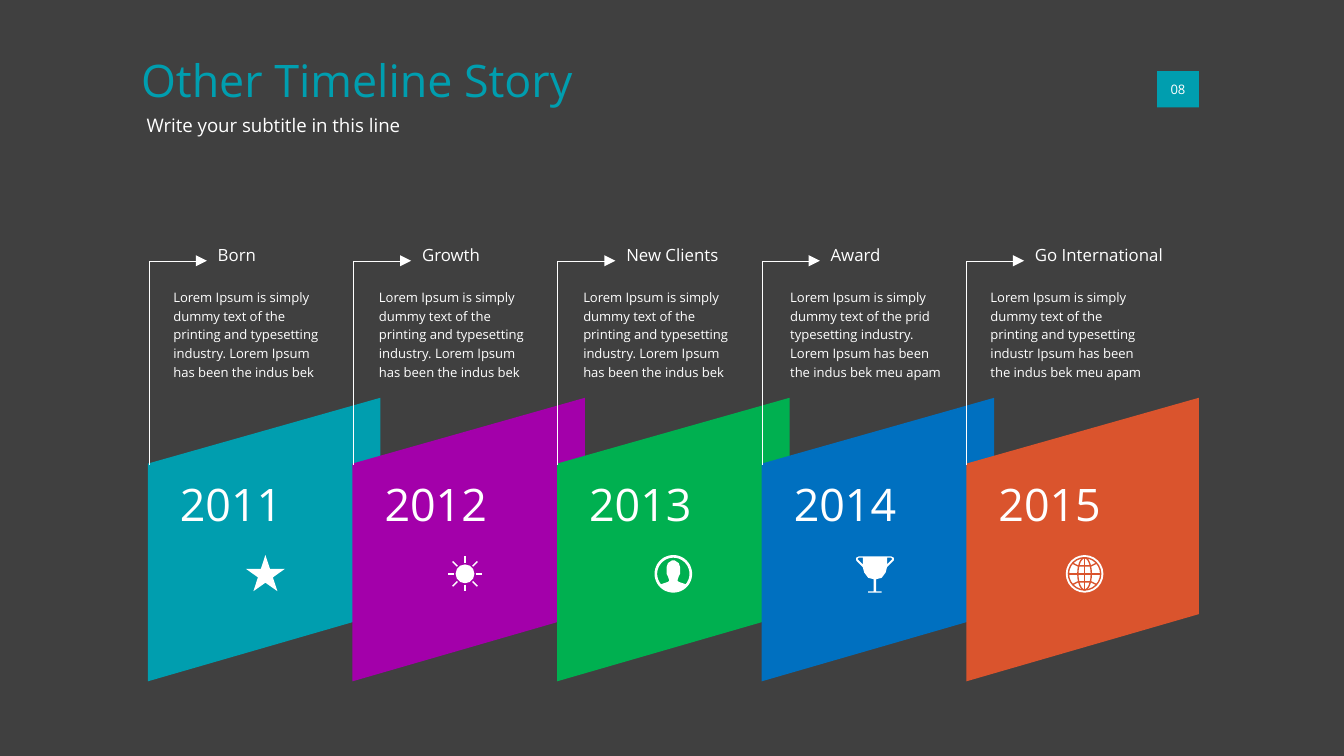
from dataclasses import dataclass
from math import cos, pi, sin
from typing import Callable

from lxml import etree
from pptx import Presentation
from pptx.dml.color import RGBColor
from pptx.enum.shapes import MSO_CONNECTOR as Connector, MSO_SHAPE as Shape
from pptx.enum.text import MSO_ANCHOR as Anchor, PP_ALIGN as Align
from pptx.oxml.ns import qn
from pptx.util import Inches, Pt

COLORS = {
    "background": "404040", "white": "FFFFFF", "teal": "009EAF", "purple": "A300AA",
    "green": "00B050", "blue": "0070C0", "orange": "DA542D",
}
FONT = "Open Sans"
ICON_Y = 4.27
Points = list[tuple[float, float]]


@dataclass
class Stage:
    year: str
    heading: str
    body: str
    body_left: float
    color: str
    icon_x: float
    draw_icon: Callable[[float, str], None]


def rgb(name: str) -> RGBColor:
    return RGBColor.from_string(COLORS[name])


def paint(shape, fill: str | None, line: str | None = None, width: float = 0.75) -> None:
    shape.shadow.inherit = False
    if fill:
        shape.fill.solid()
        shape.fill.fore_color.rgb = rgb(fill)
    else:
        shape.fill.background()
    if line:
        shape.line.color.rgb = rgb(line)
        shape.line.width = Pt(width)
    else:
        shape.line.fill.background()


def add_preset(kind: Shape, left: float, top: float, width: float, height: float,
               fill: str | None, line: str | None = None):
    shape = page.shapes.add_shape(kind, Inches(left), Inches(top), Inches(width), Inches(height))
    paint(shape, fill, line)
    return shape


def add_oval(x: float, rx: float, ry: float, fill: str | None, line: str | None = None) -> None:
    add_preset(Shape.OVAL, x - rx, ICON_Y - ry, 2 * rx, 2 * ry, fill, line)


def add_outline(contours: list[Points], fill: str | None, line: str | None = None,
                width: float = 0.75, close: bool = True):
    builder = None
    for contour in contours:
        start, *rest = [(Inches(x), Inches(y)) for x, y in contour]
        if builder is None:
            builder = page.shapes.build_freeform(*start)
        else:
            builder.move_to(*start)
        builder.add_line_segments(rest, close=close)
    shape = builder.convert_to_shape()
    paint(shape, fill, line, width)
    return shape


def add_line(x1: float, y1: float, x2: float, y2: float, color: str) -> None:
    line = page.shapes.add_connector(
        Connector.STRAIGHT, Inches(x1), Inches(y1), Inches(x2), Inches(y2))
    line.line.color.rgb = rgb(color)
    line.line.width = Pt(0.75)
    etree.SubElement(line._element.spPr, qn("a:effectLst"))


def write(frame, text: str, size: float, color: str = "white",
          align: Align = Align.LEFT, spacing: float | None = None) -> None:
    frame.word_wrap = True
    frame.margin_left = frame.margin_right = frame.margin_top = frame.margin_bottom = 0
    para = frame.paragraphs[0]
    para.alignment = align
    if spacing:
        para.line_spacing = spacing
    span = para.add_run()
    span.text = text
    span.font.name = FONT
    span.font.size = Pt(size)
    span.font.color.rgb = rgb(color)


def add_text(left: float, top: float, width: float, height: float,
             text: str, size: float, **style) -> None:
    box = page.shapes.add_textbox(Inches(left), Inches(top), Inches(width), Inches(height))
    write(box.text_frame, text, size, **style)


def arc(x: float, y: float, radius: float, start: float, end: float, steps: int = 24) -> Points:
    """Points on a circle; angles in degrees, clockwise from the right."""
    angles = [(start + (end - start) * i / steps) * pi / 180 for i in range(steps + 1)]
    return [(x + radius * cos(a), y + radius * sin(a)) for a in angles]


# Icons
def draw_star(x: float, color: str) -> None:
    add_preset(Shape.STAR_5_POINT, x - 0.14, 4.13, 0.29, 0.27, "white")


def draw_sun(x: float, color: str) -> None:
    add_oval(x, 0.07, 0.07, "white")
    for i in range(8):
        dx, dy = cos(i * pi / 4), sin(i * pi / 4)
        add_line(x + 0.08 * dx, ICON_Y + 0.08 * dy, x + 0.13 * dx, ICON_Y + 0.13 * dy, "white")


def draw_person(x: float, color: str) -> None:
    right = [(0.1, 0.08), (0.04, 0.06), (0.03, 0.05), (0.04, 0.02), (0.05, 0),
             (0.05, -0.05), (0.04, -0.08), (0.01, -0.1)]
    silhouette = [(x + dx, ICON_Y + dy) for dx, dy in right]
    silhouette += [(x - dx, ICON_Y + dy) for dx, dy in reversed(right)]
    hole = silhouette + arc(x, ICON_Y, 0.12, 141, 399, 48)
    add_outline([arc(x, ICON_Y, 0.14, 0, 360, 48), hole], "white")


def draw_trophy(x: float, color: str) -> None:
    def mirrored(points: Points) -> Points:
        return ([(x + dx, y) for dx, y in points]
                + [(x - dx, y) for dx, y in reversed(points)])

    right = [(0.12, 4.14), (0.14, 4.15), (0.14, 4.17), (0.09, 4.22), (0.08, 4.26),
             (0.05, 4.3), (0.01, 4.31), (0.01, 4.4), (0.05, 4.4), (0.05, 4.41)]
    handle = [(0.09, 4.15), (0.12, 4.15), (0.13, 4.16), (0.09, 4.2)]
    handles = [[(x + side * dx, y) for dx, y in handle] for side in (1, -1)]
    add_outline([mirrored(right), *handles], "white")


def draw_globe(x: float, color: str) -> None:
    add_oval(x, 0.14, 0.14, "white")
    add_oval(x, 0.12, 0.12, None, color)
    add_oval(x, 0.05, 0.12, None, color)
    add_line(x - 0.12, ICON_Y, x + 0.12, ICON_Y, color)
    add_line(x, ICON_Y - 0.12, x, ICON_Y + 0.12, color)
    for side in (-1, 1):
        parallel = [(x + dx, ICON_Y + side * dy) for dx, dy in
                    ((-0.09, 0.08), (-0.05, 0.06), (0, 0.06), (0.05, 0.06), (0.09, 0.08))]
        add_outline([parallel], None, color, close=False)


def add_stage(index: int, stage: Stage) -> None:
    left = 1.1 + index * (7.19 - 1.1) / 4
    offset = index * 1.52
    right = left + 1.73
    add_outline([[(right, 4.57), (left, 5.07), (left, 3.45), (right, 2.96)]], stage.color)
    # Leader with an arrowhead at the heading
    elbow = 1.11 + offset
    leader = add_outline([[(elbow, 3.46), (elbow, 1.94), (elbow + 0.43, 1.94)]],
                         None, "white", 0.25, close=False)
    etree.SubElement(leader.line._get_or_add_ln(), qn("a:tailEnd"), type="triangle")
    add_text(1.62 + offset, 1.82, 0.99, 0.3, stage.heading, 9)
    add_text(left, 3.55, 1.24, 0.58, stage.year, 24, align=Align.CENTER)
    add_text(stage.body_left, 2.13, 1.13, 0.8, stage.body, 7, spacing=1.2)
    stage.draw_icon(stage.icon_x, stage.color)


COMMON_BODY = ("Lorem Ipsum is simply dummy text of the printing and typesetting industry. "
               "Lorem Ipsum has been the indus bek")
AWARD_BODY = ("Lorem Ipsum is simply dummy text of the prid typesetting industry. "
              "Lorem Ipsum has been the indus bek meu apam")
GLOBAL_BODY = ("Lorem Ipsum is simply dummy text of the printing and typesetting industr "
               "Ipsum has been the indus bek meu apam")
STAGES = [
    Stage("2011", "Born", COMMON_BODY, 1.29, "teal", 1.97, draw_star),
    Stage("2012", "Growth", COMMON_BODY, 2.82, "purple", 3.46, draw_sun),
    Stage("2013", "New Clients", COMMON_BODY, 4.34, "green", 5.01, draw_person),
    Stage("2014", "Award", AWARD_BODY, 5.88, "blue", 6.51, draw_trophy),
    Stage("2015", "Go International", GLOBAL_BODY, 7.37, "orange", 8.07, draw_globe),
]

# Widescreen page, 16:9
deck = Presentation()
deck.slide_width = Inches(10)
deck.slide_height = Inches(10 * 9 / 16)
page = deck.slides.add_slide(deck.slide_layouts[6])
page.background.fill.solid()
page.background.fill.fore_color.rgb = rgb("background")

# Header and page number
add_text(1.05, 0.39, 4.76, 0.49, "Other Timeline Story", 24, color="teal")
add_text(1.09, 0.85, 6.91, 0.23, "Write your subtitle in this line", 10)
badge = add_preset(Shape.RECTANGLE, 8.61, 0.53, 0.31, 0.27, "teal")
badge.text_frame.vertical_anchor = Anchor.MIDDLE
write(badge.text_frame, "08", 7, align=Align.CENTER)

# Timeline
for index, stage in enumerate(STAGES):
    add_stage(index, stage)

deck.save("out.pptx")
